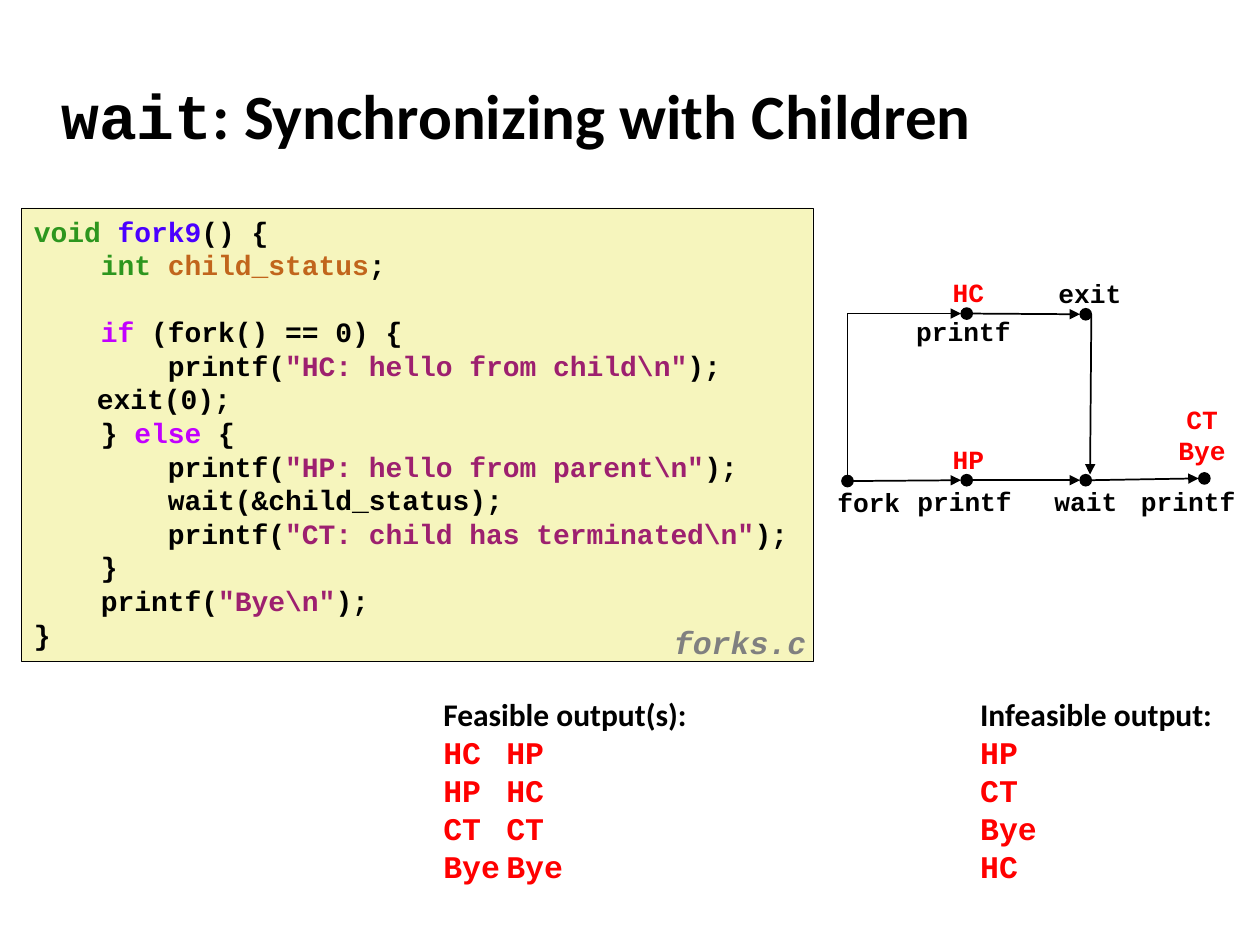
import pptx
import pptx.dml.color
import pptx.enum.shapes
import pptx.enum.text
import pptx.oxml
import pptx.oxml.ns
import pptx.util
from lxml import etree

Pt = pptx.util.Pt
RGB = pptx.dml.color.RGBColor
SHAPES = pptx.enum.shapes.MSO_SHAPE
CONNECTORS = pptx.enum.shapes.MSO_CONNECTOR
ALIGN = pptx.enum.text.PP_ALIGN
ANCHOR = pptx.enum.text.MSO_ANCHOR
qn = pptx.oxml.ns.qn

BLACK = RGB(0, 0, 0)
RED = RGB(0xFF, 0, 0)
GRAY = RGB(0x80, 0x80, 0x80)
CREAM = RGB(0xF6, 0xF5, 0xBD)
TYPE = RGB(0x2D, 0x96, 0x1E)
FUNCTION = RGB(0x4A, 0, 0xFF)
VARIABLE = RGB(0xC1, 0x65, 0x1C)
KEYWORD = RGB(0xC2, 0, 0xFF)
STRING = RGB(0x9D, 0x20, 0x6F)

MONO, SANS = "Courier New", "Calibri"

TITLE = [("wait", BLACK, MONO), (": Synchronizing with Children", BLACK, SANS)]

# Each line of code is a list of (text, colour) pieces.
CODE = [
    [("void ", TYPE), ("fork9", FUNCTION), ("() {", BLACK)],
    [("    ", BLACK), ("int ", TYPE), ("child_status", VARIABLE), (";", BLACK)],
    [],
    [("    ", BLACK), ("if", KEYWORD), (" (fork() == 0) {", BLACK)],
    [("        printf(", BLACK), ('"HC: hello from child\\n"', STRING), (");", BLACK)],
    [("\texit(0);", BLACK)],
    [("    } ", BLACK), ("else", KEYWORD), (" {", BLACK)],
    [("        printf(", BLACK), ('"HP: hello from parent\\n"', STRING), (");", BLACK)],
    [("        wait(&child_status);", BLACK)],
    [("        printf(", BLACK), ('"CT: child has terminated\\n"', STRING), (");", BLACK)],
    [("    }", BLACK)],
    [("    printf(", BLACK), ('"Bye\\n"', STRING), (");", BLACK)],
    [("}", BLACK)],
]

# (heading, output lines, left, width, wraps)
OUTPUTS = [
    ("Feasible output(s):", ["HC\tHP", "HP\tHC", "CT\tCT", "Bye\tBye"], 246.24, 216, True),
    ("Infeasible output:", ["HP", "CT", "Bye", "HC"], 553, 149, False),
]

# Centres of the events in the process graph
DOT = 6.5
EVENTS = {
    "fork": (484.3, 274.9),
    "parent printf": (552.4, 274.4),
    "wait": (620.4, 274.4),
    "last printf": (688.2, 273.4),
    "child printf": (552.4, 179.2),
    "exit": (620.4, 179.6),
}
ARROWS = [("fork", "parent printf"), ("parent printf", "wait"),
          ("wait", "last printf"), ("child printf", "exit")]

# (lines, colour, centre, top, width, height)
LABELS = [
    (["fork"], BLACK, 496.5, 274.3, 58, 25),
    (["printf"], BLACK, 551.2, 273.6, 70, 25),
    (["wait"], BLACK, 620.6, 273.6, 69, 25),
    (["printf"], BLACK, 679, 273.6, 69, 25),
    (["printf"], BLACK, 550.5, 176.4, 74, 25),
    (["exit"], BLACK, 622.8, 154.8, 69, 25),
    (["HP"], RED, 553.3, 249.8, 32.4, 25),
    (["HC"], RED, 553.3, 154.1, 32.4, 25),
    (["CT", "Bye"], RED, 686.9, 226.8, 41.8, 44),
]

deck = pptx.Presentation()
deck.slide_width, deck.slide_height = Pt(720), Pt(540)
page = deck.slides.add_slide(deck.slide_layouts[6])


def fill_text(box, lines, size, wrap=False, align=ALIGN.LEFT, anchor=ANCHOR.TOP, italic=False):
    """Write lines of (text, colour[, font]) pieces, all bold, into a shape."""
    frame = box.text_frame
    frame.word_wrap = wrap
    frame.vertical_anchor = anchor
    for number, line in enumerate(lines):
        para = frame.paragraphs[0] if number == 0 else frame.add_paragraph()
        para.alignment = align
        for text, color, *font in line:
            span = para.add_run()
            span.text = text
            span.font.name = font[0] if font else MONO
            span.font.size = Pt(size)
            span.font.bold = True
            span.font.italic = italic
            span.font.color.rgb = color
        if not line:
            end = etree.SubElement(para._p, qn("a:endParaRPr"), sz=str(size * 100), b="1")
            etree.SubElement(end, qn("a:latin"), typeface=MONO)


def add_text(left, top, width, height, lines, size, **options):
    box = page.shapes.add_textbox(Pt(left), Pt(top), Pt(width), Pt(height))
    fill_text(box, lines, size, **options)
    return box


def add_solid(kind, left, top, width, height, color, weight):
    shape = page.shapes.add_shape(kind, Pt(left), Pt(top), Pt(width), Pt(height))
    shape.shadow.inherit = False
    shape.fill.solid()
    shape.fill.fore_color.rgb = color
    shape.line.color.rgb = BLACK
    shape.line.width = Pt(weight)
    return shape


def add_arrow(start, end, kind=CONNECTORS.STRAIGHT):
    arrow = page.shapes.add_connector(kind, *(Pt(value) for value in (*start, *end)))
    arrow.line.color.rgb = BLACK
    arrow.line.width = Pt(1)
    etree.SubElement(arrow.line._get_or_add_ln(), qn("a:tailEnd"), type="triangle")
    etree.SubElement(arrow._element.spPr, qn("a:effectLst"))
    return arrow


def add_corner_arrow(start, end):
    """Go straight up from start, then right to end: a one-bend connector turned by 90 degrees."""
    middle_x, middle_y = (start[0] + end[0]) / 2, (start[1] + end[1]) / 2
    half_run, half_rise = (end[0] - start[0]) / 2, (start[1] - end[1]) / 2
    arrow = add_arrow((middle_x + half_rise, middle_y + half_run),
                      (middle_x - half_rise, middle_y - half_run), CONNECTORS.ELBOW)
    properties = arrow._element.spPr
    properties.find(qn("a:prstGeom")).set("prst", "bentConnector2")
    properties.find(qn("a:xfrm")).set("rot", "5400000")


add_text(28, 35.3, 598, 60, [TITLE], 36, wrap=True, anchor=ANCHOR.MIDDLE)

code_box = add_solid(SHAPES.RECTANGLE, 12.24, 118.8, 452.2, 259.2, CREAM, 0.25)
fill_text(code_box, CODE, 16)
file_name = add_text(378, 354.2, 95, 28, [[("forks.c", GRAY)]], 18, italic=True)
file_name.text_frame.paragraphs[0].line_spacing = 0.94

for x, y in EVENTS.values():
    add_solid(SHAPES.OVAL, x - DOT / 2, y - DOT / 2, DOT, DOT, BLACK, 0.75)

for source, target in ARROWS:
    (x1, y1), (x2, y2) = EVENTS[source], EVENTS[target]
    add_arrow((x1 + DOT / 2, y1), (x2 - DOT / 2, y2))

fork_x, fork_y = EVENTS["fork"]
child_x, child_y = EVENTS["child printf"]
add_corner_arrow((fork_x, fork_y - DOT / 2), (child_x - DOT / 2, child_y))
exit_x, exit_y = EVENTS["exit"]
add_arrow((exit_x + DOT / 2, exit_y), (exit_x + 2.5, EVENTS["wait"][1] - DOT / 2))

for words, color, center, top, width, height in LABELS:
    add_text(center - width / 2, top, width, height, [[(word, color)] for word in words],
             15, wrap=color == BLACK, align=ALIGN.CENTER)

for heading, results, left, width, wraps in OUTPUTS:
    lines = [[(heading, BLACK, SANS)]] + [[(result, RED)] for result in results]
    add_text(left, 393.8, width, 116.6, lines, 18, wrap=wraps)

deck.save("out.pptx")
